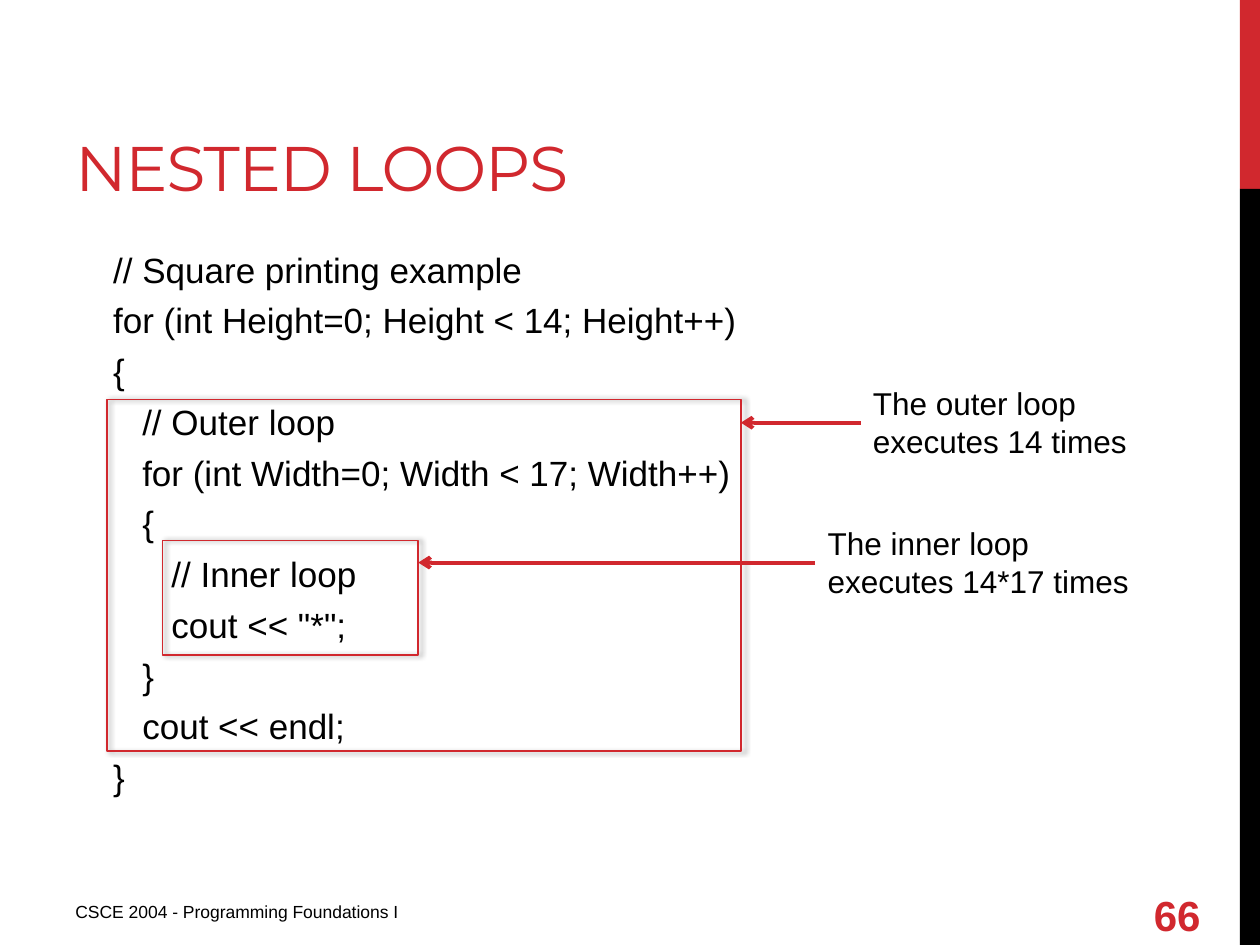
from lxml.etree import SubElement
from pptx import Presentation
from pptx.dml.color import RGBColor
from pptx.enum.shapes import MSO_CONNECTOR, MSO_SHAPE
from pptx.enum.text import MSO_ANCHOR
from pptx.oxml.ns import qn
from pptx.util import Inches, Pt

COLORS = {"red": "D1282E", "black": "000000"}
COLS, ROWS = 100, 75
CODE = """// Square printing example
for (int Height=0; Height < 14; Height++)
{
   // Outer loop
   for (int Width=0; Width < 17; Width++)
   {
      // Inner loop
      cout << "*";
   }
   cout << endl;
}"""


def color(name):
    return RGBColor.from_string(COLORS[name])


def write(frame, text, size=18, ink="black", font="Arial", bold=False,
          track=0, gap=0, anchor=MSO_ANCHOR.TOP):
    """Fill a frame, one paragraph a line; track and gap are in points."""
    frame.word_wrap = True
    frame.vertical_anchor = anchor
    for i, line in enumerate(text.split("\n")):
        para = frame.add_paragraph() if i else frame.paragraphs[0]
        para.space_before = Pt(gap if i else 0)
        run = para.add_run()
        run.text = line
        run.font.name = font
        run.font.size = Pt(size)
        run.font.bold = bold
        run.font.color.rgb = color(ink)
        if track:
            run._r.get_or_add_rPr().set("spc", str(round(track * 100)))


class Deck:
    """Holds the style and the current slide; lengths are grid cells."""

    def __init__(self):
        self.prs = Presentation()
        self.prs.slide_width = Inches(10)
        self.prs.slide_height = Inches(7.5)
        self.shapes = self.prs.slides.add_slide(
            self.prs.slide_layouts[6]).shapes

    def x(self, col):
        return round(self.prs.slide_width * col / COLS)

    def y(self, row):
        return round(self.prs.slide_height * row / ROWS)

    def area(self, left, top, width, height):
        return self.x(left), self.y(top), self.x(width), self.y(height)

    def text(self, spot, words, **style):
        box = self.shapes.add_textbox(*self.area(*spot))
        write(box.text_frame, words, **style)
        return box

    def rect(self, spot):
        box = self.shapes.add_shape(MSO_SHAPE.RECTANGLE, *self.area(*spot))
        box.shadow.inherit = False
        return box

    def band(self, spot, ink):
        box = self.rect(spot)
        box.fill.solid()
        box.fill.fore_color.rgb = color(ink)
        box.line.fill.background()

    def frame(self, spot):
        """Draw a hollow red box with a soft shadow to its right."""
        box = self.rect(spot)
        box.fill.background()
        box.line.color.rgb = color("red")
        box.line.width = Pt(1)
        effects = box._element.spPr.find(qn("a:effectLst"))
        shade = SubElement(effects, qn("a:outerShdw"), blurRad=str(Pt(3.1)),
                           dist=str(Pt(1.8)), dir="0", rotWithShape="0")
        tint = SubElement(shade, qn("a:srgbClr"), val=COLORS["black"])
        SubElement(tint, qn("a:alpha"), val="40000")
        return box

    def arrow(self, note, box):
        """Point from the left side of a note straight to a box's edge."""
        row = note.top + note.height // 2
        line = self.shapes.add_connector(
            MSO_CONNECTOR.STRAIGHT, note.left, row, box.left + box.width, row)
        line.begin_connect(note, 1)
        line.line.color.rgb = color("red")
        line.line.width = Pt(2.25)
        SubElement(line.line._get_or_add_ln(), qn("a:tailEnd"), type="arrow")
        SubElement(line._element.spPr, qn("a:effectLst"))


def main():
    deck = Deck()
    deck.band((98.4, 0, 1.6, 15), "red")
    deck.band((98.4, 15, 1.6, 60), "black")
    deck.text((5, 1.7, 63.3, 15), "NESTED LOOPS", size=36, ink="red",
              font="Montserrat", track=-0.6, anchor=MSO_ANCHOR.BOTTOM)
    # The code sits 0.3 inch inside the body margin
    deck.text((8, 19.2, 80.3, 47.8), CODE, size=20, gap=5)
    deck.text((5, 71, 37.5, 3.1), "CSCE 2004 - Programming Foundations I",
              size=10)
    deck.text((90.6, 70.6, 7.4, 4), "66", size=24, ink="red", bold=True,
              anchor=MSO_ANCHOR.MIDDLE)

    loops = [
        ((8.5, 31.7, 50.3, 27.9), (68.3, 30, 22.3, 7.1),
         "The outer loop executes 14 times"),
        ((12.9, 42.9, 20.3, 9.1), (64.7, 41.1, 26.2, 7.1),
         "The inner loop executes 14*17 times"),
    ]
    for spot, place, words in loops:
        box = deck.frame(spot)
        note = deck.text(place, words)
        deck.arrow(note, box)
    deck.prs.save("out.pptx")


if __name__ == "__main__":
    main()
